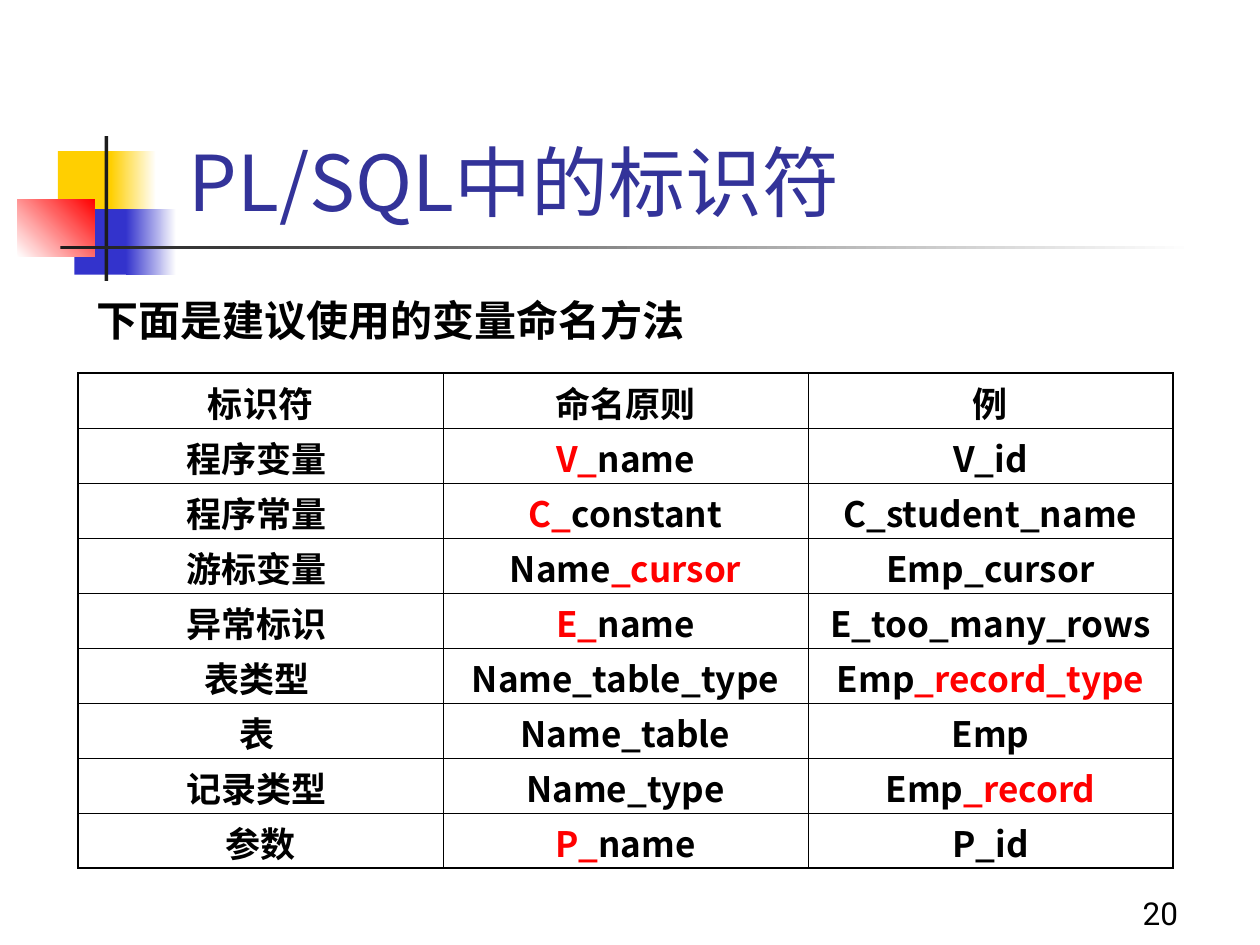
from lxml import etree
from pptx import Presentation
from pptx.dml.color import RGBColor
from pptx.enum.shapes import MSO_SHAPE
from pptx.enum.text import PP_ALIGN, MSO_ANCHOR
from pptx.oxml.ns import qn
from pptx.util import Inches, Pt

CJK, LATIN = "Noto Sans CJK SC", "Roboto"
BLACK, RED, WHITE = "000000", "FF0000", "FFFFFF"
YELLOW, BLUE, DARK, TITLE = "FFCF01", "3333CC", "1C1C1C", "333399"
THIN, THICK = 0.45, 1.08

# Decoration: left, top, width, height, colours (two make a gradient), angle
DECOR = [
    (0.46, 1.2, 0.48, 0.52, [YELLOW], 0),
    (0.88, 1.2, 0.36, 0.52, [YELLOW, WHITE], 0),
    (0.59, 1.66, 0.46, 0.52, [BLUE], 0),
    (1, 1.66, 0.4, 0.52, [BLUE, WHITE], 0),
    (0.14, 1.58, 0.61, 0.46, [WHITE, RED], 45),
    (0.83, 1.08, 0.03, 1.15, [DARK], 0),
    (0.48, 1.95, 9, 0.03, [DARK, WHITE], 0),
]

# Text boxes: text, left, top, width, height, size, font, colour, bold, wrap
TEXTS = [
    ("20", 8.97, 7.05, 0.8, 0.44, 18, LATIN, BLACK, False, False),
    ("PL/SQL中的标识符", 1.4, 1.02, 8.38, 1, 44, CJK, TITLE, False, True),
    ("下面是建议使用的变量命名方法", 0.67, 2.29, 5.81, 0.58, 24, CJK, BLACK, True, True),
]

# Table cells: a tuple holds (text, colour) runs
ROWS = [
    ["标识符", "命名原则", "例"],
    ["程序变量 ", (("V_", RED), ("name", BLACK)), "V_id"],
    ["程序常量 ", (("C_", RED), ("constant", BLACK)), "C_student_name"],
    ["游标变量 ", (("Name", BLACK), ("_cursor", RED)), "Emp_cursor"],
    ["异常标识 ", (("E_", RED), ("name", BLACK)), "E_too_many_rows"],
    ["表类型 ", "Name_table_type", (("Emp", BLACK), ("_record_type", RED))],
    ["表 ", "Name_table", "Emp"],
    ["记录类型 ", "Name_type", (("Emp", BLACK), ("_record", RED))],
    ["参数", (("P_", RED), ("name", BLACK)), "P_id"],
]
TABLE = (0.62, 2.96, 8.69, 3.93)


def rgb(color):
    return RGBColor.from_string(color)


def write(p, runs, size, font, bold):
    """Fill a paragraph with (text, colour) runs in one font."""
    for text, color in runs:
        r = p.add_run()
        r.text = text
        r.font.color.rgb = rgb(color)
        ea = etree.SubElement(r.font._element, qn("a:ea"))
        ea.set("typeface", CJK)
        r.font.name, r.font.size, r.font.bold = font, Pt(size), bold


def set_borders(cell, widths):
    """Draw the left, right, top and bottom borders of a cell."""
    tcPr = cell._tc.get_or_add_tcPr()
    for i, (side, width) in enumerate(zip("LRTB", widths)):
        ln = etree.Element(qn(f"a:ln{side}"), w=str(Pt(width)))
        fill = etree.SubElement(ln, qn("a:solidFill"))
        etree.SubElement(fill, qn("a:srgbClr"), val=BLACK)
        tcPr.insert(i, ln)


prs = Presentation()
prs.slide_width, prs.slide_height = Inches(10), Inches(7.5)
s = prs.slides.add_slide(prs.slide_layouts[6])

# Coloured blocks and rules
for *box, colors, angle in DECOR:
    sp = s.shapes.add_shape(MSO_SHAPE.RECTANGLE, *map(Inches, box))
    sp.shadow.inherit = False
    sp.line.fill.background()
    if len(colors) == 1:
        sp.fill.solid()
        sp.fill.fore_color.rgb = rgb(colors[0])
    else:
        sp.fill.gradient()
        sp.fill.gradient_angle = angle
        for stop, color in zip(sp.fill.gradient_stops, colors):
            stop.color.rgb = rgb(color)

# Page number, title and lead sentence
for text, *box, size, font, color, bold, wrap in TEXTS:
    tf = s.shapes.add_textbox(*map(Inches, box)).text_frame
    tf.word_wrap = wrap
    write(tf.paragraphs[0], [(text, color)], size, font, bold)

# Naming table
frame = s.shapes.add_table(len(ROWS), len(ROWS[0]), *map(Inches, TABLE))
table = frame.table
table.first_row = table.horz_banding = False
last_row, last_col = len(ROWS) - 1, len(ROWS[0]) - 1
for i, row in enumerate(ROWS):
    for j, content in enumerate(row):
        cell = table.cell(i, j)
        cell.fill.background()
        cell.vertical_anchor = MSO_ANCHOR.TOP
        cell.margin_top, cell.margin_bottom = Inches(0.03), 0
        outer = (j == 0, j == last_col, i == 0, i == last_row)
        set_borders(cell, [THICK if edge else THIN for edge in outer])
        runs = [(content, BLACK)] if isinstance(content, str) else content
        font = LATIN if runs[0][0].endswith(" ") else CJK
        p = cell.text_frame.paragraphs[0]
        p.alignment = PP_ALIGN.CENTER
        write(p, runs, 20, font, True)

prs.save("out.pptx")
